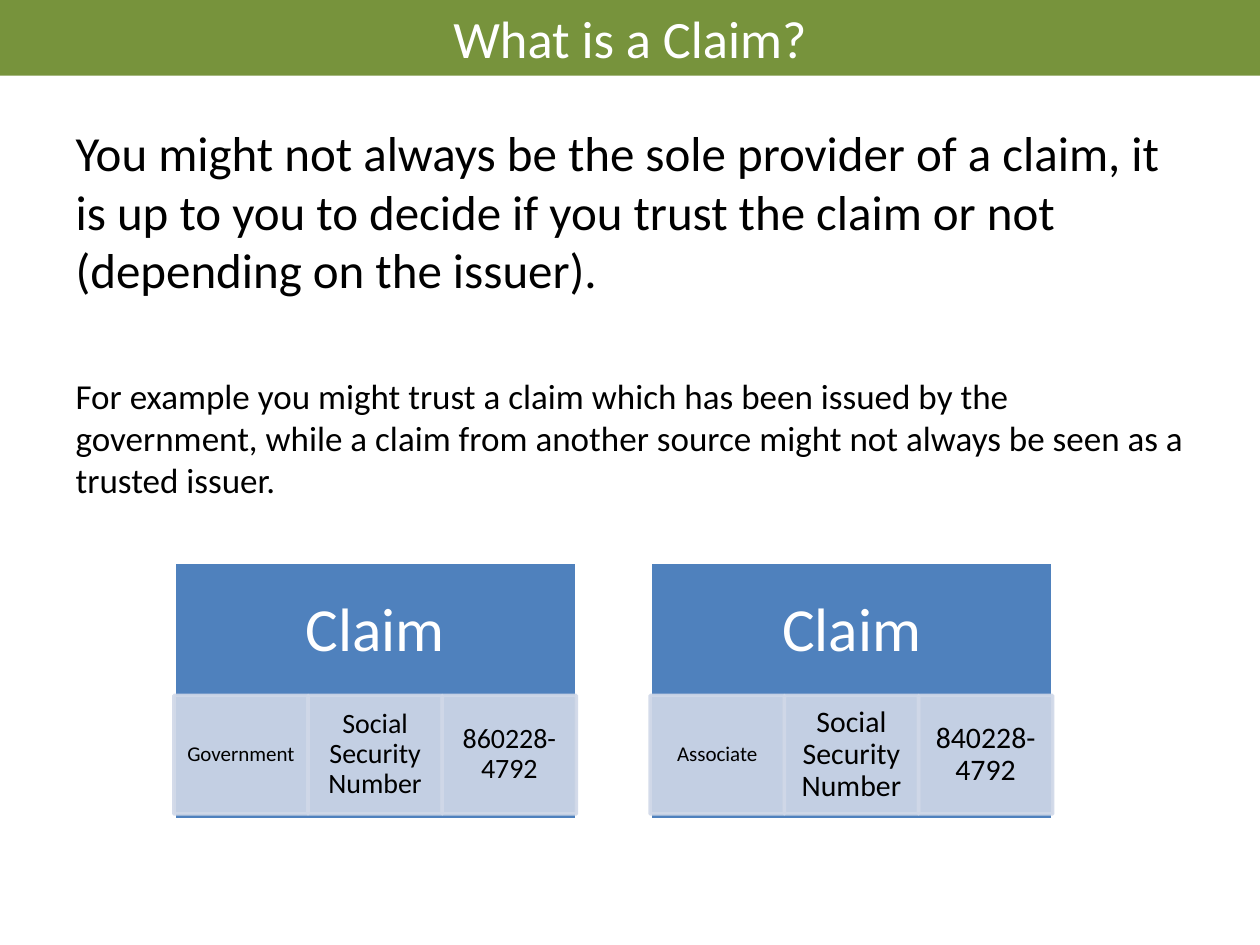
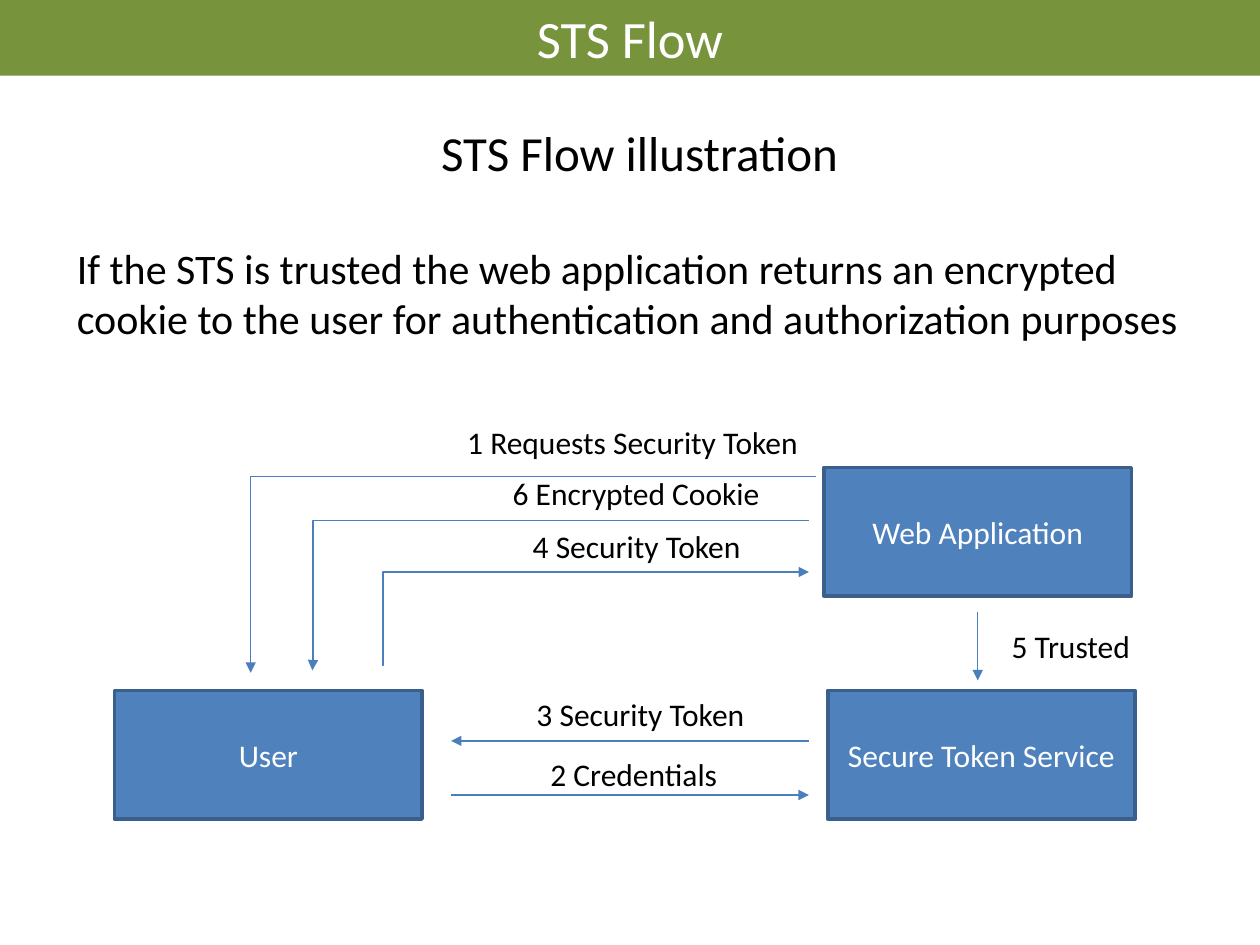
from lxml import etree
from pptx import Presentation
from pptx.dml.color import RGBColor
from pptx.enum.shapes import MSO_CONNECTOR, MSO_SHAPE
from pptx.enum.text import MSO_ANCHOR, MSO_AUTO_SIZE, PP_ALIGN
from pptx.oxml.ns import qn
from pptx.util import Inches, Pt

RECTANGLE = MSO_SHAPE.RECTANGLE
STRAIGHT, ELBOW = MSO_CONNECTOR.STRAIGHT, MSO_CONNECTOR.ELBOW
MIDDLE = MSO_ANCHOR.MIDDLE
LEFT, CENTER = PP_ALIGN.LEFT, PP_ALIGN.CENTER
NO_FIT, GROW = MSO_AUTO_SIZE.NONE, MSO_AUTO_SIZE.SHAPE_TO_FIT_TEXT

FONT = "Calibri"
GREEN, BLUE, DARK_BLUE, ARROW_BLUE = "77933C", "4F81BD", "3A5F8C", "4B7EBC"
PALE, WHITE, BLACK = "D0D8E8", "FFFFFF", "000000"


def color(hex_value):
    return RGBColor.from_string(hex_value)


def write(para, text, size=18, ink=BLACK, align=LEFT, before=None, spacing=None):
    """Put one formatted span into a paragraph."""
    span = para.add_run()
    span.text = text
    span.font.name = FONT
    span.font.size = Pt(size)
    span.font.color.rgb = color(ink)
    para.alignment = align
    if before is not None:
        para.space_before = Pt(before)
    if spacing is not None:
        para.line_spacing = spacing


deck = Presentation()
deck.slide_width, deck.slide_height = Inches(10), Inches(7.5)

# Title band and body text: (text, size, alignment, space before)
pages = [
    ("What is a Claim?", 0.5, 9, [
        ("You might not always be the sole provider of a claim, it is up to you to "
         "decide if you trust the claim or not (depending on the issuer).",
         28, LEFT, None),
        ("For example you might trust a claim which has been issued by the "
         "government, while a claim from another source might not always be seen "
         "as a trusted issuer.", 20, LEFT, 43)]),
    ("STS Flow", 0.51, 9.13, [
        ("STS Flow illustration", 28, CENTER, None),
        ("If the STS is trusted the web application returns an encrypted cookie to "
         "the user for authentication and authorization purposes", 24, LEFT, 35)]),
]
for heading, left, width, paragraphs in pages:
    page = deck.slides.add_slide(deck.slide_layouts[1])
    title, body = page.placeholders
    title.left, title.top = Inches(0), Inches(0)
    title.width, title.height = Inches(10), Inches(0.6)
    title.fill.solid()
    title.fill.fore_color.rgb = color(GREEN)
    title.text_frame.auto_size = NO_FIT
    title.text_frame.vertical_anchor = MIDDLE
    write(title.text_frame.paragraphs[0], heading, size=30, ink=WHITE, align=CENTER)

    body.left, body.top = Inches(left), Inches(0.92)
    body.width, body.height = Inches(width), Inches(5.78)
    frame = body.text_frame
    frame.auto_size = NO_FIT
    for number, (text, size, align, before) in enumerate(paragraphs):
        para = frame.add_paragraph() if number else frame.paragraphs[0]
        write(para, text, size=size, align=align, before=before)
        properties = para._p.get_or_add_pPr()
        properties.set("marL", "0")
        properties.set("indent", "0")
        etree.SubElement(properties, qn("a:buNone"))

claim_page, flow_page = deck.slides

# Claim panels, each with a row of three cells
CELL_WIDTH, CELL_HEIGHT = 1.065, 0.94
claims = [
    (1.38, [("Government", 12), ("Social Security Number", 16), ("860228-4792", 16)]),
    (5.16, [("Associate", 12), ("Social Security Number", 17), ("840228-4792", 17)]),
]
for left, cells in claims:
    boxes = [(left, 4.46, 3.2, 2.05, "Claim", 35, BLUE, WHITE, WHITE)]
    for column, (text, size) in enumerate(cells):
        boxes.append((left + column * CELL_WIDTH, 5.52, CELL_WIDTH, CELL_HEIGHT,
                      text, size, PALE, PALE, BLACK))
    for x, y, width, height, text, size, fill, outline, ink in boxes:
        box = claim_page.shapes.add_shape(
            RECTANGLE, Inches(x), Inches(y), Inches(width), Inches(height))
        box.shadow.inherit = False
        box.fill.solid()
        box.fill.fore_color.rgb = color(fill)
        box.line.color.rgb = color(outline)
        box.line.width = Pt(2)
        frame = box.text_frame
        frame.word_wrap = True
        frame.vertical_anchor = MIDDLE
        frame.margin_left = frame.margin_right = Inches(0.09 if size == 12 else 0.12)
        frame.margin_top = frame.margin_bottom = Inches(0.02)
        if fill == BLUE:
            # Keep the heading in the part above the cells
            frame.margin_bottom = Inches(CELL_HEIGHT + 0.02)
        else:
            for tint in box._element.spPr.iter(qn("a:srgbClr")):
                etree.SubElement(tint, qn("a:alpha"), val="90000")
        write(frame.paragraphs[0], text, size=size, ink=ink, align=CENTER, spacing=0.9)

# Parties of the flow
for text, left, top in [("User", 0.91, 5.48), ("Web Application", 6.54, 3.71),
                        ("Secure Token Service", 6.57, 5.48)]:
    box = flow_page.shapes.add_shape(
        RECTANGLE, Inches(left), Inches(top), Inches(2.44), Inches(1.02))
    box.shadow.inherit = False
    box.fill.solid()
    box.fill.fore_color.rgb = color(BLUE)
    box.line.color.rgb = color(DARK_BLUE)
    box.line.width = Pt(2)
    box.text_frame.word_wrap = True
    box.text_frame.vertical_anchor = MIDDLE
    write(box.text_frame.paragraphs[0], text, ink=WHITE, align=CENTER)

# Steps: label with left, top and width, arrow ends, place of the bend in 1/100000
steps = [
    ("2 Credentials", 4.27, 5.94, 1.54, (3.58, 6.31), (6.42, 6.31), None),
    ("3 Security Token", 4.16, 5.47, 1.87, (6.42, 5.88), (3.58, 5.88), None),
    ("4 Security Token", 4.13, 4.13, 1.87, (3.03, 5.28), (6.42, 4.54), 300),
    ("5 Trusted", 7.93, 4.93, 1.15, (7.76, 4.86), (7.76, 5.4), None),
    ("6 Encrypted Cookie", 3.97, 3.71, 2.18, (6.42, 4.13), (2.48, 5.32), 99900),
    ("1 Requests Security Token", 3.61, 3.31, 2.86, (6.48, 3.78), (1.99, 5.34), 100000),
]
for text, left, top, width, start, end, bend in steps:
    arrow = flow_page.shapes.add_connector(
        STRAIGHT if bend is None else ELBOW,
        *[Inches(value) for value in start + end])
    arrow.line.color.rgb = color(ARROW_BLUE)
    arrow.line.width = Pt(0.75)
    properties = arrow._element.spPr
    etree.SubElement(arrow.line._get_or_add_ln(), qn("a:tailEnd"), type="triangle")
    etree.SubElement(properties, qn("a:effectLst"))
    if bend is not None:
        adjustments = properties.find(qn("a:prstGeom")).find(qn("a:avLst"))
        etree.SubElement(adjustments, qn("a:gd"), name="adj1", fmla=f"val {bend}")

    label = flow_page.shapes.add_textbox(
        Inches(left), Inches(top), Inches(width), Inches(0.4))
    label.text_frame.word_wrap = False
    label.text_frame.auto_size = GROW
    write(label.text_frame.paragraphs[0], text)

deck.save("out.pptx")
